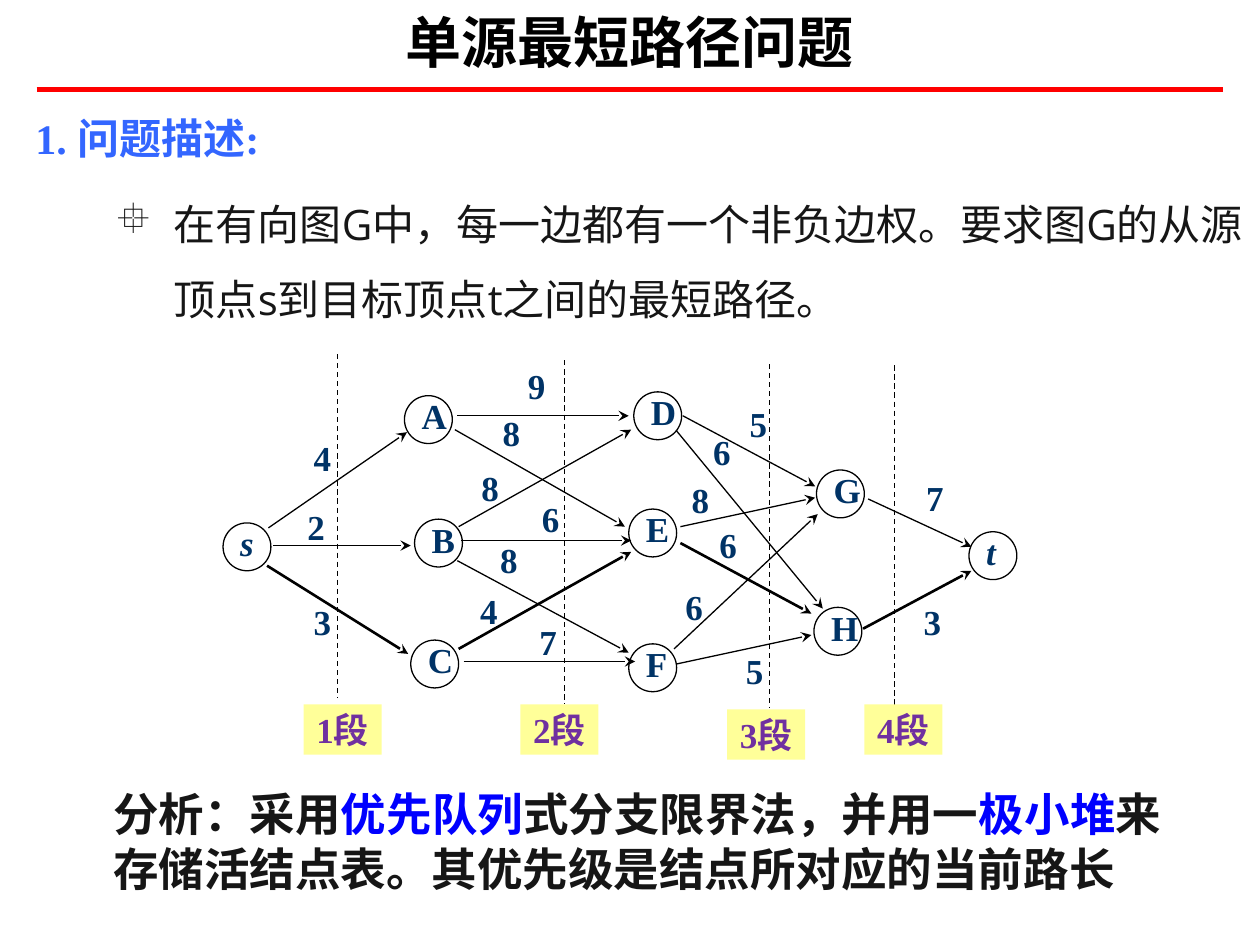
"""Build the slide on the single-source shortest path problem."""
import pptx
import pptx.util
import pptx.dml.color
import pptx.enum.dml
import pptx.enum.shapes
import pptx.enum.text
import pptx.oxml.ns
import lxml.etree

HUES = {"black": "000000", "red": "FF0000", "head": "3366FF", "body": "161616",
        "navy": "003366", "key": "0000FF", "stage": "7030A0", "pale": "FFFF99"}
SANS, SERIF, OPEN = "Noto Sans CJK SC", "Times New Roman", "Open Sans"
BULLET = {"font": "Wingdings", "char": "\u00b0"}

TITLE = "单源最短路径问题"
HEAD = "1. 问题描述:"
BODY = "在有向图G中，每一边都有一个非负边权。要求图G的从源顶点s到目标顶点t之间的最短路径。"
NOTE = [("分析：采用", "body"), ("优先队列", "key"), ("式分支限界法，并用一", "body"),
        ("极小堆", "key"), ("来存储活结点表。其优先级是结点所对应的当前路长", "body")]

NODES = {"s": (1.77, 4.15), "A": (3.21, 3.14), "B": (3.29, 4.12), "C": (3.26, 5.08),
         "D": (5.03, 3.11), "E": (4.99, 4.04), "F": (4.99, 5.11),
         "G": (6.48, 3.73), "H": (6.46, 4.82), "t": (7.69, 4.22)}
EDGES = [
    ("4", (2.13, 4.19), (3.23, 3.43), (2.41, 3.53)),
    ("2", (2.17, 4.33), (3.26, 4.33), (2.36, 4.08)),
    ("3", (2.12, 4.49), (3.24, 5.19), (2.41, 4.83)),
    ("9", (3.63, 3.30), (4.99, 3.30), (4.11, 2.96)),
    ("8", (3.61, 3.41), (4.96, 4.18), (3.91, 3.33)),
    ("8", (3.64, 4.18), (5.01, 3.41), (3.74, 3.77)),
    ("6", (3.66, 4.29), (5.01, 4.29), (4.22, 4.01)),
    ("8", (3.63, 4.45), (4.99, 5.18), (3.89, 4.34)),
    ("4", (3.64, 5.15), (5.01, 4.38), (3.73, 4.74)),
    ("7", (3.68, 5.25), (5.04, 5.25), (4.20, 4.99)),
    ("5", (5.42, 3.30), (6.47, 3.86), (5.87, 3.26)),
    ("6", (5.37, 3.42), (6.53, 4.83), (5.58, 3.48)),
    ("8", (5.40, 4.18), (6.47, 3.95), (5.41, 3.86)),
    ("6", (5.40, 4.31), (6.44, 4.87), (5.63, 4.22)),
    ("6", (5.35, 5.15), (6.49, 4.08), (5.36, 4.71)),
    ("5", (5.37, 5.27), (6.44, 5.04), (5.84, 5.22)),
    ("7", (6.89, 3.96), (7.71, 4.34), (7.27, 3.85)),
    ("3", (6.85, 4.99), (7.71, 4.53), (7.25, 4.83)),
]
BEST = {2, 8, 13, 17}
STAGES = [(2.68, 2.81, 2.41, 5.59), (4.48, 2.86, 4.13, 5.59),
          (6.11, 2.89, 5.77, 5.63), (7.10, 2.90, 6.86, 5.59)]
SPAN = 2.73

ALIGN = pptx.enum.text.PP_ALIGN
ANCHOR = pptx.enum.text.MSO_ANCHOR
KIND = pptx.enum.shapes.MSO_SHAPE
qn = pptx.oxml.ns.qn


def cm(inch):
    return pptx.util.Cm(inch * 2.54)


def rgb(hue):
    return pptx.dml.color.RGBColor.from_string(HUES[hue])


def write(para, text, size=20, font=SERIF, hue="navy", bold=True, slant=False,
          align=ALIGN.LEFT, space=None):
    run = para.add_run()
    run.text = text
    run.font.size = pptx.util.Pt(size)
    run.font.name = font
    run.font.bold, run.font.italic = bold, slant
    run.font.color.rgb = rgb(hue)
    east = lxml.etree.SubElement(run.font._element, qn("a:ea"))
    east.set("typeface", SANS)
    para.alignment = align
    if space:
        para.line_spacing = space


def frame(shape, pads=(0.1, 0.05, 0.1, 0.05), anchor=ANCHOR.TOP):
    area = shape.text_frame
    area.word_wrap = True
    area.vertical_anchor = anchor
    (area.margin_left, area.margin_top,
     area.margin_right, area.margin_bottom) = map(cm, pads)
    return area


def box(*place):
    return slide.shapes.add_textbox(*map(cm, place))


def form(kind, *place):
    shape = slide.shapes.add_shape(kind, *map(cm, place))
    shape.shadow.inherit = False
    return shape


def draw(start, end, width=0.75, hue="black", dash=False, arrow=False):
    link = slide.shapes.add_connector(
        pptx.enum.shapes.MSO_CONNECTOR.STRAIGHT, *map(cm, start + end))
    link.line.width = pptx.util.Pt(width)
    link.line.color.rgb = rgb(hue)
    if dash:
        link.line.dash_style = pptx.enum.dml.MSO_LINE.DASH
    if arrow:
        tip = lxml.etree.SubElement(link.line._get_or_add_ln(), qn("a:tailEnd"))
        tip.set("type", "stealth")
    lxml.etree.SubElement(link._element.spPr, qn("a:effectLst"))


def mark(shape, text):
    area = frame(shape, (0.08, 0, 0, 0))
    write(area.paragraphs[0], text, slant=text in ("s", "t"),
          align=ALIGN.JUSTIFY, space=0.8)


def dot(para, left, hang):
    props = para._p.get_or_add_pPr()
    props.set("marL", str(cm(left)))
    props.set("indent", str(cm(-hang)))
    face = lxml.etree.SubElement(props, qn("a:buFont"))
    face.set("typeface", BULLET["font"])
    face.set("pitchFamily", "2")
    face.set("charset", "2")
    lxml.etree.SubElement(props, qn("a:buChar")).set("char", BULLET["char"])


deck = pptx.Presentation()
deck.slide_width, deck.slide_height = cm(10), cm(7.5)
slide = deck.slides.add_slide(deck.slide_layouts[6])

draw((0.29, 0.71), (9.71, 0.71), 3, "red")
area = frame(box(0, 0.01, 10, 0.71), (0.1, 0, 0.1, 0.08), ANCHOR.MIDDLE)
write(area.paragraphs[0], TITLE, 32, SANS, "black", align=ALIGN.CENTER)

area = frame(box(0.28, 0.84, 9.61, 1.85), (0, 0.05, 0.02, 0.05))
write(area.paragraphs[0], HEAD, 24, hue="head")
para = area.add_paragraph()
write(para, BODY, 24, OPEN, "body", bold=False, space=1.5)
para.space_before = pptx.util.Pt(6)
dot(para, 1.1, 0.47)

for name, (left, top) in NODES.items():
    ring = form(KIND.OVAL, left, top, 0.38, 0.38)
    ring.fill.background()
    ring.line.color.rgb = rgb("black")
    ring.line.width = pptx.util.Pt(0.75)
    mark(ring, name)

for num, (weight, start, end, spot) in enumerate(EDGES):
    draw(start, end, 1.5 if num in BEST else 0.75, arrow=True)
    mark(box(*spot, 0.21, 0.25), weight)

for num, (mid, high, left, top) in enumerate(STAGES, 1):
    draw((mid, high), (mid, high + SPAN), dash=True)
    tag = form(KIND.RECTANGLE, left, top, 0.62, 0.4)
    tag.fill.solid()
    tag.fill.fore_color.rgb = rgb("pale")
    tag.line.fill.background()
    area = frame(tag, (0.1, 0, 0.1, 0), ANCHOR.MIDDLE)
    write(area.paragraphs[0], f"{num}段", hue="stage", align=ALIGN.CENTER)

area = frame(box(0.8, 6.19, 8.76, 0.98))
for text, hue in NOTE:
    write(area.paragraphs[0], text, 26, SANS, hue)

deck.save("out.pptx")
